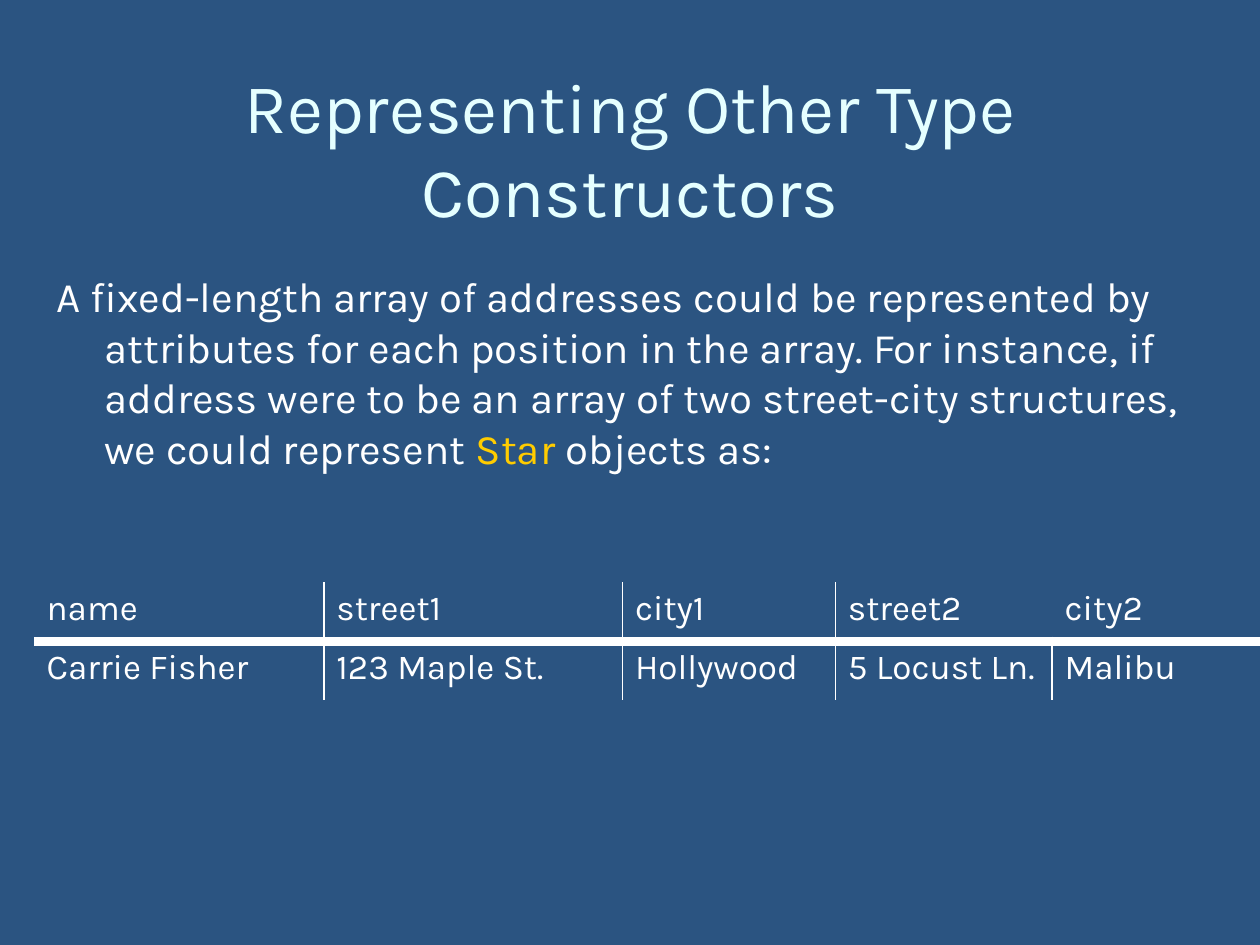
from pptx import Presentation
from pptx.dml.color import RGBColor
from pptx.enum.text import MSO_ANCHOR, PP_ALIGN
from pptx.oxml.ns import qn
from pptx.util import Inches, Pt
from lxml.etree import SubElement

COLORS = {"back": "2B5481", "title": "E5FFFF", "text": "FFFFFF", "star": "FFCC00"}
FONT = "Karla"


def style(para, size, color):
    para.font.name = FONT
    para.font.size = Pt(size)
    para.font.color.rgb = RGBColor.from_string(COLORS[color])


def border(cell, side, width):
    line = SubElement(cell._tc.get_or_add_tcPr(), qn("a:ln" + side))
    if width:
        line.set("w", str(Pt(width)))
        fill = SubElement(line, qn("a:solidFill"))
        SubElement(fill, qn("a:srgbClr")).set("val", COLORS["text"])
    else:
        SubElement(line, qn("a:noFill"))


deck = Presentation()
deck.slide_width, deck.slide_height = Inches(10), Inches(7.5)
slide = deck.slides.add_slide(deck.slide_layouts[5])
slide.background.fill.solid()
slide.background.fill.fore_color.rgb = RGBColor.from_string(COLORS["back"])

title = slide.shapes.title
title.left, title.top = Inches(0.5), Inches(0.42)
title.width, title.height = Inches(9), Inches(1.5)
title.text_frame.text = "Representing Other Type Constructors"
title.text_frame.vertical_anchor = MSO_ANCHOR.MIDDLE
para = title.text_frame.paragraphs[0]
para.alignment = PP_ALIGN.CENTER
style(para, 40, "title")

rows = [
    ["name", "street1", "city1", "street2", "city2"],
    ["Carrie Fisher", "123 Maple St.", "Hollywood", "5 Locust Ln.", "Malibu"],
]
widths = [2.3, 2.37, 1.69, 1.72, 1.65]
frame = slide.shapes.add_table(
    2, 5, Inches(0.27), Inches(4.62), Inches(sum(widths)), Inches(0.94)
)
table = frame.table
table.first_row = table.horz_banding = False
for col, width in zip(table.columns, widths):
    col.width = Inches(width)
for r, row in enumerate(rows):
    table.rows[r].height = Inches(0.47)
    rules = 3 + r
    for c, word in enumerate(row):
        cell = table.cell(r, c)
        border(cell, "L", 1 if 0 < c <= rules else 0)
        border(cell, "R", 1 if c < rules else 0)
        border(cell, "T", 6 if r == 1 else 0)
        border(cell, "B", 6 if r == 0 else 0)
        cell.fill.background()
        cell.text = word
        para = cell.text_frame.paragraphs[0]
        para.space_before = Pt(4)
        style(para, 20, "text")

body = slide.shapes.add_textbox(Inches(0.35), Inches(2.1), Inches(9.5), Inches(2.05))
body.text_frame.word_wrap = True
para = body.text_frame.paragraphs[0]
style(para, 24, "text")
props = para._p.get_or_add_pPr()
props.set("marL", str(Inches(0.38)))
props.set("indent", str(Inches(-0.38)))
parts = [
    ("A fixed-length array of addresses could be represented by attributes "
     "for each position in the array. For instance, if address were to be an "
     "array of two street-city structures, we could represent ", "text"),
    ("Star", "star"),
    (" objects as:", "text"),
]
for words, color in parts:
    run = para.add_run()
    run.text = words
    run.font.color.rgb = RGBColor.from_string(COLORS[color])

deck.save("out.pptx")
